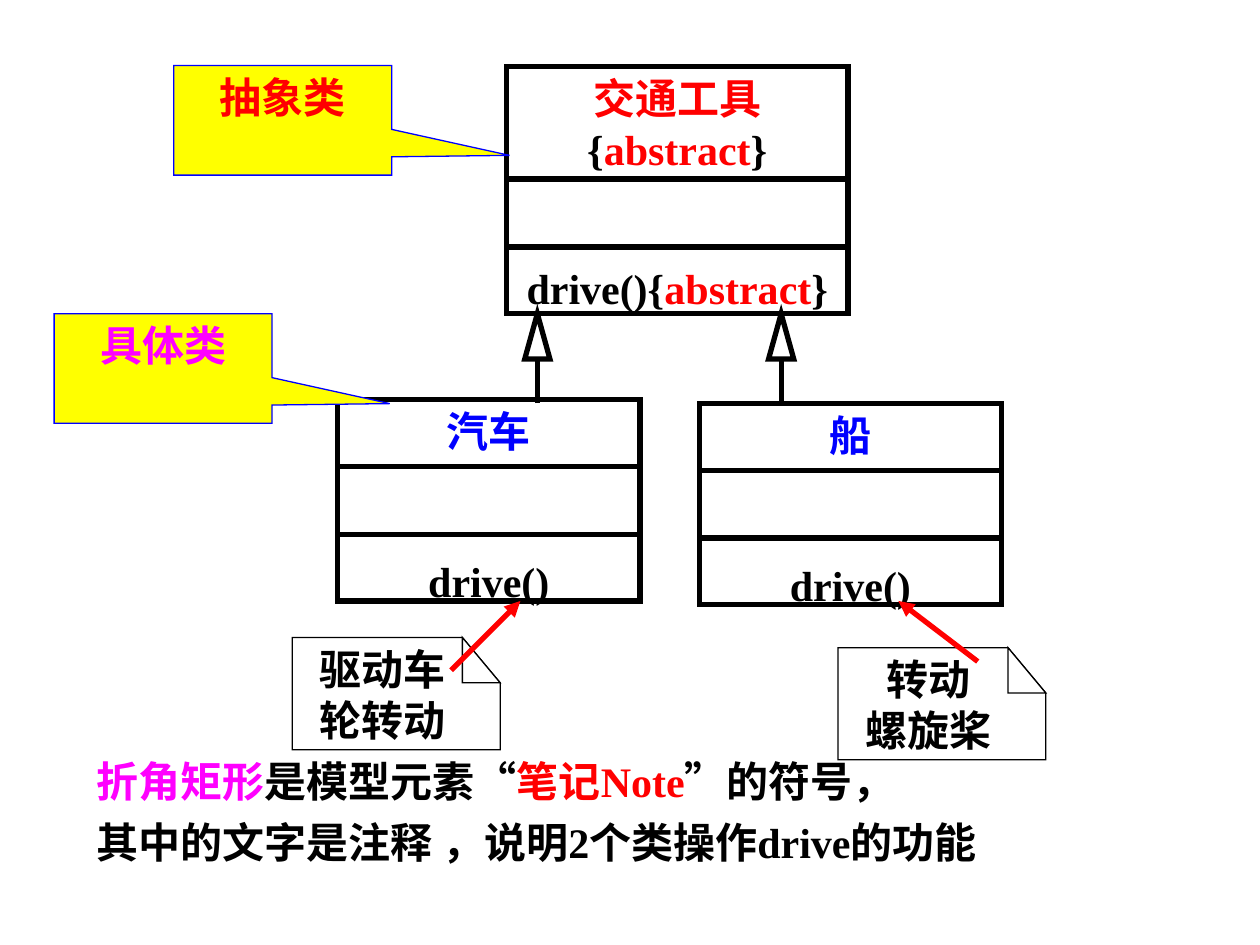
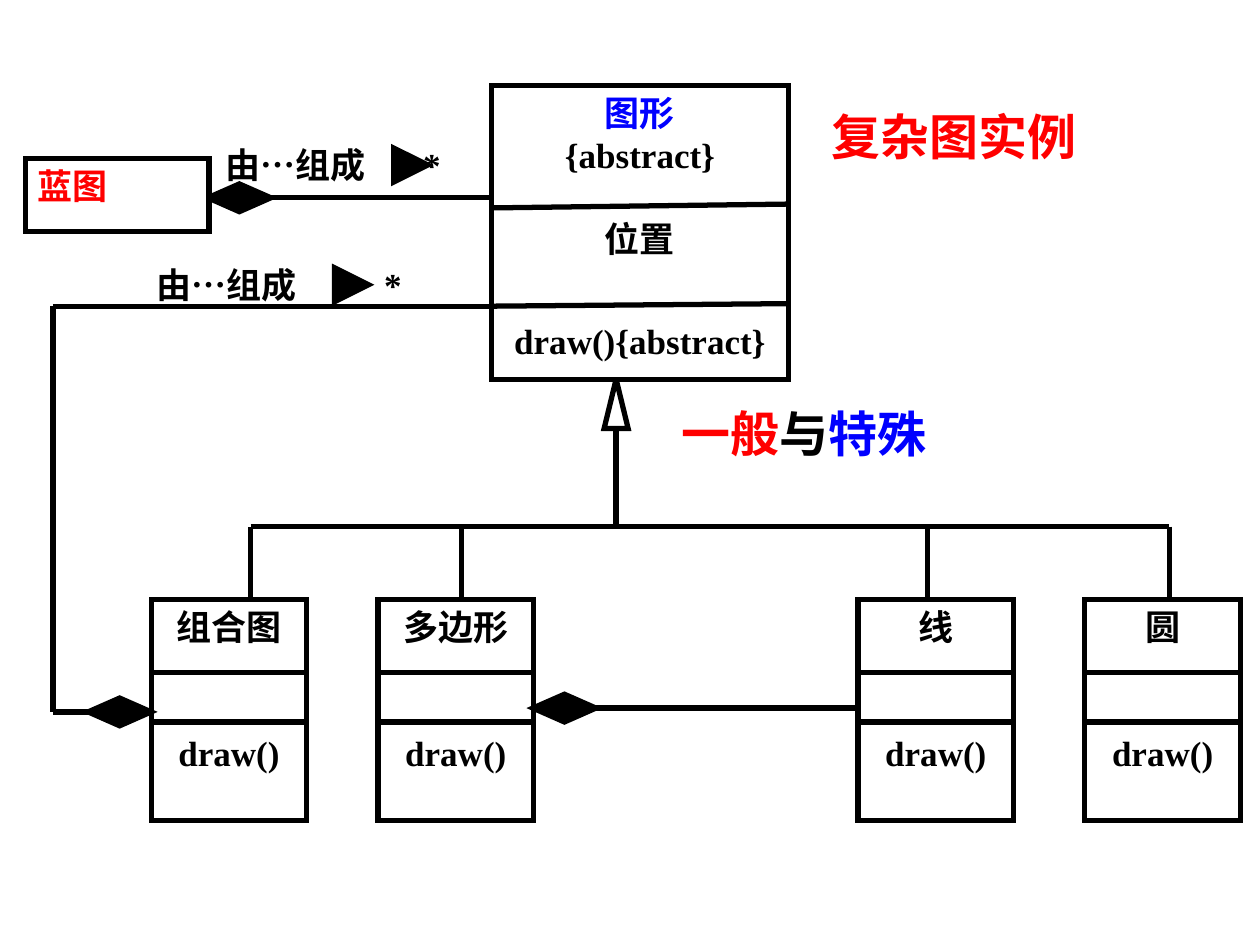
from lxml.etree import SubElement
from pptx import Presentation
from pptx.dml.color import RGBColor
from pptx.enum.shapes import MSO_CONNECTOR, MSO_SHAPE
from pptx.enum.text import MSO_ANCHOR, PP_ALIGN
from pptx.oxml.ns import qn
from pptx.util import Inches, Pt

BLACK = RGBColor(0, 0, 0)
WHITE = RGBColor(255, 255, 255)
RED = RGBColor(255, 0, 0)
BLUE = RGBColor(0, 0, 255)
MAGENTA = RGBColor(255, 0, 255)
YELLOW = RGBColor(255, 255, 0)

COLUMNS, ROWS = 100, 75
SERIF, SANS = "Times New Roman", "Arial"
THICK, THIN = 3, 0.75


class UmlDeck:
    """Style and current slide; every length is in grid columns and rows."""

    def __init__(self):
        self.prs = Presentation()
        self.prs.slide_width, self.prs.slide_height = Inches(10), Inches(7.5)
        self.size = 24
        self.shapes = None

    def new_slide(self, size):
        self.size = size
        self.shapes = self.prs.slides.add_slide(self.prs.slide_layouts[6]).shapes

    def x(self, columns):
        return round(self.prs.slide_width * columns / COLUMNS)

    def y(self, rows):
        return round(self.prs.slide_height * rows / ROWS)

    def area(self, left, top, width, height):
        return self.x(left), self.y(top), self.x(width), self.y(height)

    def paint(self, sp, fill, line, width):
        sp.shadow.inherit = False
        sp.fill.solid()
        sp.fill.fore_color.rgb = fill
        sp.line.color.rgb = line
        sp.line.width = Pt(width)
        SubElement(sp.line._ln, qn("a:miter"), lim="800000")

    def fill_text(self, sp, paragraphs, align=PP_ALIGN.CENTER,
                  anchor=MSO_ANCHOR.TOP, size=None, tab=None):
        """Each paragraph is (space before, [(text, colour, optional font)])."""
        tf = sp.text_frame
        tf.word_wrap = True
        tf.vertical_anchor = anchor
        for i, (gap, runs) in enumerate(paragraphs):
            p = tf.add_paragraph() if i else tf.paragraphs[0]
            if tab:
                tabs = SubElement(p._p.get_or_add_pPr(), qn("a:tabLst"))
                SubElement(tabs, qn("a:tab"), pos=str(self.x(tab)), algn="l")
            p.alignment = align
            if gap:
                p.space_before = Pt(gap)
            for text, color, *font in runs:
                r = p.add_run()
                r.text = text
                r.font.name = font[0] if font else SERIF
                r.font.size = Pt(size or self.size)
                r.font.bold = True
                r.font.color.rgb = color

    def preset(self, kind, area, fill=WHITE, line=BLACK, width=THICK):
        sp = self.shapes.add_shape(kind, *self.area(*area))
        self.paint(sp, fill, line, width)
        return sp

    def text(self, area, paragraphs, anchor=MSO_ANCHOR.MIDDLE, **style):
        sp = self.shapes.add_textbox(*self.area(*area))
        self.fill_text(sp, paragraphs, PP_ALIGN.LEFT, anchor, **style)

    def line(self, x1, y1, x2, y2, color=BLACK, arrow=False):
        ln = self.shapes.add_connector(MSO_CONNECTOR.STRAIGHT, self.x(x1),
                                       self.y(y1), self.x(x2), self.y(y2))
        ln.line.color.rgb = color
        ln.line.width = Pt(THICK)
        if arrow:
            SubElement(ln.line._ln, qn("a:tailEnd"), type="triangle")
        SubElement(ln._element.spPr, qn("a:effectLst"))

    def class_box(self, area, paragraphs, dividers):
        """Dividers are (left, right) row offsets below the top of the box."""
        left, top, width, _ = area
        self.fill_text(self.preset(MSO_SHAPE.RECTANGLE, area), paragraphs)
        for start, end in dividers:
            self.line(left, top + start, left + width, top + end)

    def inheritance(self, center, top, bottom, width=2, height=3.6):
        self.line(center, bottom, center, top + height)
        self.preset(MSO_SHAPE.ISOSCELES_TRIANGLE,
                    (center - width / 2, top, width, height))

    def diamond(self, center, middle):
        self.preset(MSO_SHAPE.DIAMOND, (center - 2.5, middle - 1.1, 5, 2.2), BLACK)

    def callout(self, left, top, name, color):
        sp = self.preset(MSO_SHAPE.RECTANGULAR_CALLOUT, (left, top, 17.3, 8.7),
                         YELLOW, BLUE, THIN)
        sp.adjustments[0], sp.adjustments[1] = 1.04, 0.32
        self.fill_text(sp, [(0, [(name, color)])])

    def outline(self, points):
        corners = [(self.x(a), self.y(b)) for a, b in points]
        builder = self.shapes.build_freeform(*corners[0])
        builder.add_line_segments(corners[1:], close=True)
        sp = builder.convert_to_shape()
        self.paint(sp, WHITE, BLACK, THIN)
        return sp

    def note(self, left, top, lines):
        right, bottom = left + 16.5, top + 8.9
        fold_x, fold_y = right - 3, top + 3.6
        sheet = self.outline([(left, top), (fold_x, top), (right, fold_y),
                              (right, bottom), (left, bottom)])
        sheet.text_frame.margin_right = self.x(3.1)
        self.fill_text(sheet, [(0, [(text, BLACK)]) for text in lines])
        self.outline([(fold_x, top), (right, fold_y), (fold_x, fold_y)])

    def association(self, left, top, width, star, pointer):
        """Reading label, multiplicity star and direction pointer."""
        self.text((left, top, width, 4.7),
                  [(0, [("由", BLACK), ("…", BLACK, SANS),
                        ("组成\t*", BLACK)])], tab=star)
        self.preset(MSO_SHAPE.ISOSCELES_TRIANGLE, (pointer, top + 0.8, 3.2, 3.2),
                    BLACK, BLACK, THIN).rotation = 90


def vehicle_slide(deck):
    deck.new_slide(24)
    # Explanation below the diagram
    deck.text((6.7, 59.5, 86.7, 12.1), [
        (0, [("折角矩形", MAGENTA), ("是模型元素", BLACK), ("“", BLACK, SANS),
             ("笔记Note", RED), ("”", BLACK, SANS), ("的符号，", BLACK)]),
        (6, [("其中的文字是注释 ，说明2个类操作drive的功能", BLACK)]),
    ], anchor=MSO_ANCHOR.TOP)

    # Abstract class and its two concrete classes
    deck.class_box((40.2, 5.3, 27.1, 19.6), [
        (0, [("交通工具", RED)]),
        (0, [("{", BLACK), ("abstract", RED), ("}", BLACK)]),
        (51, [("drive(){", BLACK), ("abstract", RED), ("}", BLACK)]),
    ], [(8.9, 8.9), (14.3, 14.3)])
    for left, top, name in ((26.8, 31.7, "汽车"), (55.5, 32, "船")):
        deck.class_box((left, top, 24, 16),
                       [(0, [(name, BLUE)]), (57, [("drive()", BLACK)])],
                       [(5.35, 5.35), (10.7, 10.7)])
    for center in (42.65, 62):
        deck.inheritance(center, 24.9, 32)

    # Notes, callouts and red pointers
    deck.note(23.2, 50.6, ["驱动车轮转动"])
    deck.note(66.5, 51.4, ["转动", "螺旋桨"])
    deck.callout(13.8, 5.2, "抽象类", RED)
    deck.callout(4.3, 24.9, "具体类", MAGENTA)
    deck.line(35.8, 53.2, 41.3, 47.7, RED, arrow=True)
    deck.line(77.6, 52.5, 71.3, 47.7, RED, arrow=True)


def figure_slide(deck):
    deck.new_slide(20)
    # Abstract figure class
    deck.class_box((39, 6.8, 23.6, 23.3), [
        (0, [("图形", BLUE)]),
        (0, [("{abstract}", BLACK)]),
        (24, [("位置", BLACK)]),
        (34, [("draw(){abstract}", BLACK)]),
    ], [(9.7, 9.4), (17.5, 17.3)])

    # Concrete figure classes hanging from the inheritance bar
    bar, row = 41.8, 47.6
    concrete = (("组合图", 12, 19.9), ("多边形", 30, 36.6),
                ("线", 68.1, 73.6), ("圆", 86.1, 92.8))
    deck.inheritance(48.9, 30.1, bar, 1.9, 3.9)
    deck.line(concrete[0][2], bar, concrete[-1][2], bar)
    for name, left, stem in concrete:
        deck.line(stem, bar, stem, row)
        deck.class_box((left, row, 12.35, 17.5),
                       [(0, [(name, BLACK)]), (47.5, [("draw()", BLACK)])],
                       [(5.8, 5.8), (9.7, 9.7)])

    # Blueprint is composed of figures
    deck.diamond(19, 15.7)
    deck.line(21, 15.7, 39, 15.7)
    blueprint = deck.preset(MSO_SHAPE.RECTANGLE, (2, 12.6, 14.6, 5.8))
    deck.fill_text(blueprint, [(0, [("蓝图", RED)])], PP_ALIGN.LEFT)
    deck.association(16.9, 10.7, 22.1, star=15.7, pointer=31.1)

    # Composite is composed of figures
    deck.line(4.2, 24.3, 39, 24.3)
    deck.line(4.2, 24.3, 4.2, 56.5)
    deck.line(7.5, 56.5, 4.2, 56.5)
    deck.diamond(9.5, 56.5)
    deck.association(11.4, 20.2, 27.6, star=18.1, pointer=26.4)

    # Polygon is composed of lines
    deck.diamond(44.8, 56.2)
    deck.line(46.8, 56.2, 68.1, 56.2)

    # Headings
    deck.text((65, 8.4, 27.6, 4.7), [(0, [("复杂图实例", RED)])], size=28)
    deck.text((53.1, 32, 27.6, 4.7),
              [(0, [("一般", RED), ("与", BLACK), ("特殊", BLUE)])], size=28)


def main():
    deck = UmlDeck()
    vehicle_slide(deck)
    figure_slide(deck)
    deck.prs.save("out.pptx")


if __name__ == "__main__":
    main()
